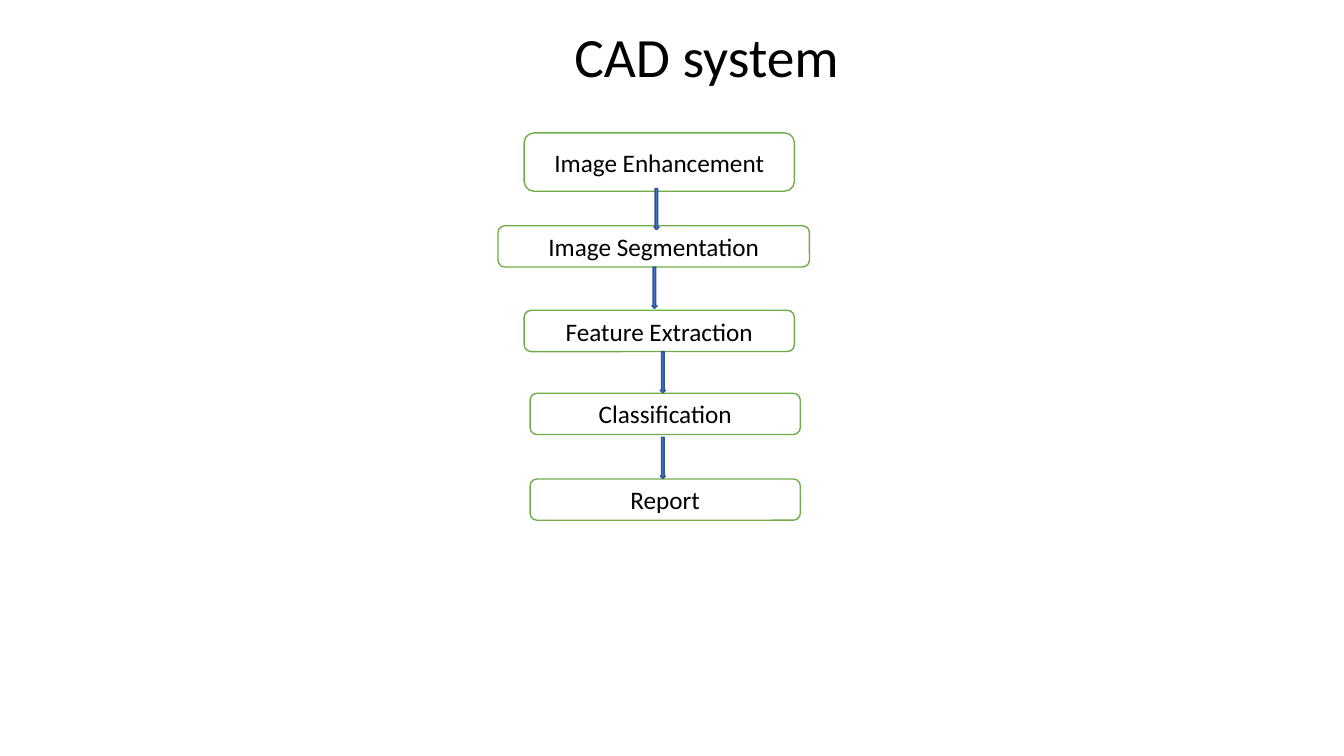
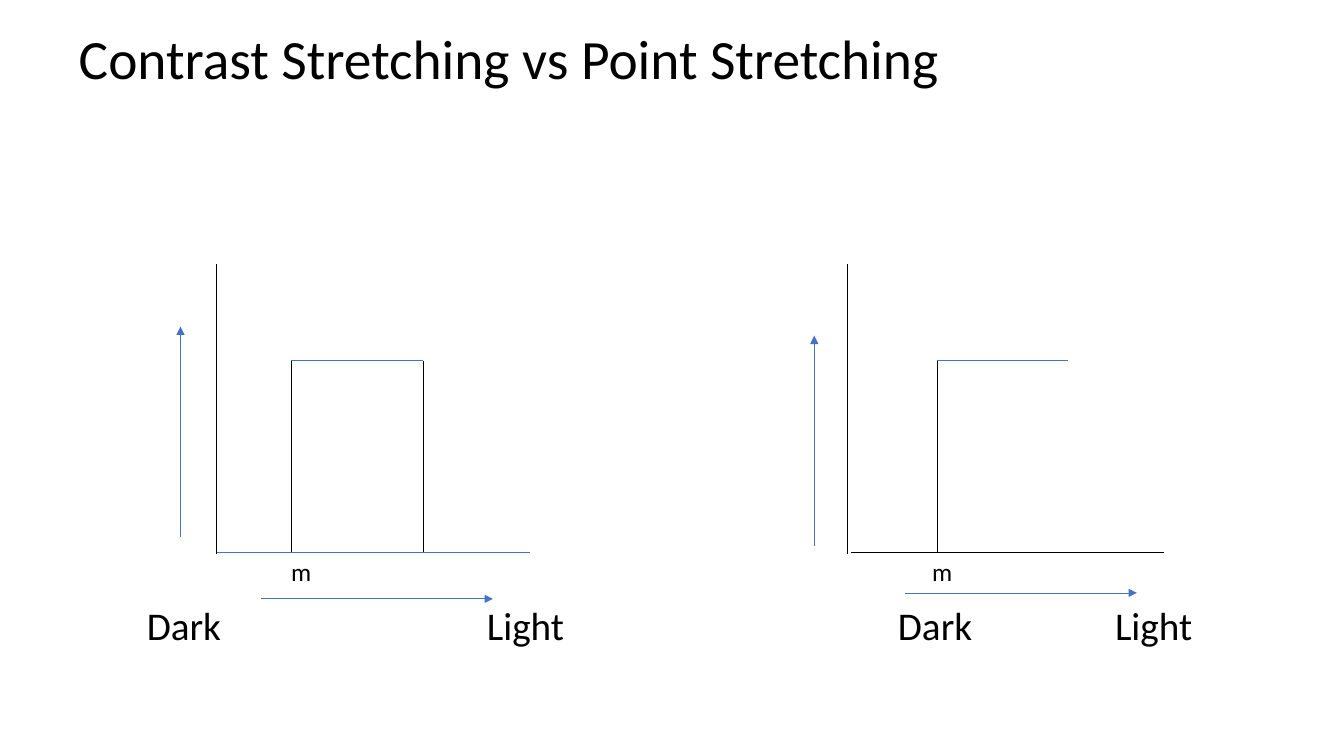
from dataclasses import dataclass

from lxml import etree
from pptx import Presentation
from pptx.dml.color import RGBColor
from pptx.enum.shapes import MSO_CONNECTOR, MSO_SHAPE
from pptx.enum.text import MSO_ANCHOR, MSO_AUTO_SIZE, PP_ALIGN
from pptx.oxml.ns import qn
from pptx.util import Cm, Pt

ROUNDED = MSO_SHAPE.ROUNDED_RECTANGLE
DOWN_ARROW = MSO_SHAPE.DOWN_ARROW
STRAIGHT = MSO_CONNECTOR.STRAIGHT
MIDDLE = MSO_ANCHOR.MIDDLE
LEFT, CENTER = PP_ALIGN.LEFT, PP_ALIGN.CENTER
NO_AUTOFIT = MSO_AUTO_SIZE.NONE
TITLE_ONLY = 5


@dataclass(frozen=True)
class Theme:
    font: str = "Calibri"
    text: RGBColor = RGBColor(0, 0, 0)
    paper: RGBColor = RGBColor(255, 255, 255)
    green: RGBColor = RGBColor(0x70, 0xAD, 0x47)
    blue: RGBColor = RGBColor(0x44, 0x72, 0xC4)
    dark_blue: RGBColor = RGBColor(0x32, 0x54, 0x91)
    title_size: float = 39.6
    brightness_size: float = 28
    label_size: float = 18
    outline: float = 1
    thin_line: float = 0.5
    title_spacing: float = 0.9


theme = Theme()


def write(shape, text, size, align=LEFT):
    """Set the shape's only paragraph and return it."""
    frame = shape.text_frame
    frame.word_wrap = True
    frame.auto_size = NO_AUTOFIT
    frame.vertical_anchor = MIDDLE
    paragraph = frame.paragraphs[0]
    paragraph.alignment = align
    run = paragraph.add_run()
    run.text = text
    run.font.size = Pt(size)
    run.font.name = theme.font
    run.font.color.rgb = theme.text
    return paragraph


presentation = Presentation()
presentation.slide_width, presentation.slide_height = Cm(33.87), Cm(19.05)

# Titles: text, left, top, width, height
TITLES = [
    ("CAD system", 14.22, 0.56, 19.13, 1.9),
    ("Contrast Stretching vs Point Stretching", 1.73, 0.76, 29.21, 1.6),
]
slides = []
for text, *box in TITLES:
    slide = presentation.slides.add_slide(presentation.slide_layouts[TITLE_ONLY])
    title = slide.shapes.title
    title.left, title.top, title.width, title.height = map(Cm, box)
    write(title, text, theme.title_size).line_spacing = theme.title_spacing
    slides.append(slide)
flow_slide, plot_slide = slides

# Flow chart of the system
STEP_HEIGHT = 1.04
STEPS = [  # text, left, top, width, height
    ("Image Enhancement", 13.21, 3.35, 6.81, 1.47),
    ("Image Segmentation", 12.55, 5.69, 7.85, STEP_HEIGHT),
    ("Feature Extraction", 13.21, 7.82, 6.81, STEP_HEIGHT),
    ("Classification", 13.36, 9.91, 6.81, STEP_HEIGHT),
    ("Report", 13.36, 12.07, 6.81, STEP_HEIGHT),
]
ARROWS = [(16.48, 4.75), (16.43, 6.73), (16.64, 8.86), (16.64, 11.02)]
ARROW_SIZE = (0.13, 1.04)

flow_shapes = [(ROUNDED, text, box, theme.paper, theme.green) for text, *box in STEPS]
flow_shapes += [
    (DOWN_ARROW, "", (*corner, *ARROW_SIZE), theme.blue, theme.dark_blue)
    for corner in ARROWS
]
for kind, text, box, fill, line in flow_shapes:
    shape = flow_slide.shapes.add_shape(kind, *map(Cm, box))
    shape.shadow.inherit = False
    shape.fill.solid()
    shape.fill.fore_color.rgb = fill
    shape.line.color.rgb = line
    shape.line.width = Pt(theme.outline)
    if text:
        write(shape, text, theme.label_size, CENTER)

# Stretching plots
AXIS_TOP, AXIS_BOTTOM = 6.65, 13.97
BASE, LEVEL = 13.92, 9.09
BASE_LENGTH, UP_LENGTH, RIGHT_LENGTH = 7.9, 5.31, 5.84
BRIGHTNESS_TOP = 15
THRESHOLD_SIZE, BRIGHTNESS_SIZE = (1.02, 1.04), (2.6, 1.5)
PLOTS = [
    dict(axis=5.46, base=5.46, base_color=theme.blue, rise=7.34, end=10.67, drops=True,
         up=(4.55, 13.54), right=(6.58, 15.09), threshold=(7.09, 13.89),
         dark=3.45, light=12.02),
    dict(axis=21.36, base=21.44, base_color=theme.text, rise=23.62, end=26.92, drops=False,
         up=(20.52, 13.77), right=(22.81, 14.94), threshold=(23.24, 13.87),
         dark=22.38, light=27.85),
]
for plot in PLOTS:
    axis, base, rise, end = plot["axis"], plot["base"], plot["rise"], plot["end"]
    up_x, up_y = plot["up"]
    right_x, right_y = plot["right"]
    lines = [  # start x, start y, end x, end y, colour, arrowhead
        (axis, AXIS_TOP, axis, AXIS_BOTTOM, theme.text, False),
        (base, BASE, base + BASE_LENGTH, BASE, plot["base_color"], False),
        (rise, BASE, rise, LEVEL, theme.text, False),
        (rise, LEVEL, end, LEVEL, theme.blue, False),
        (up_x, up_y, up_x, up_y - UP_LENGTH, theme.blue, True),
        (right_x, right_y, right_x + RIGHT_LENGTH, right_y, theme.blue, True),
    ]
    if plot["drops"]:
        lines.append((end, BASE, end, LEVEL, theme.text, False))
    for *ends, color, has_head in lines:
        connector = plot_slide.shapes.add_connector(STRAIGHT, *map(Cm, ends))
        connector.line.color.rgb = color
        connector.line.width = Pt(theme.thin_line)
        properties = connector._element.spPr
        if has_head:
            etree.SubElement(properties.find(qn("a:ln")), qn("a:tailEnd"), type="triangle")
        etree.SubElement(properties, qn("a:effectLst"))

    labels = [
        ("m", theme.label_size, (*plot["threshold"], *THRESHOLD_SIZE)),
        ("Dark", theme.brightness_size, (plot["dark"], BRIGHTNESS_TOP, *BRIGHTNESS_SIZE)),
        ("Light", theme.brightness_size, (plot["light"], BRIGHTNESS_TOP, *BRIGHTNESS_SIZE)),
    ]
    for text, size, box in labels:
        write(plot_slide.shapes.add_textbox(*map(Cm, box)), text, size)

presentation.save("out.pptx")
